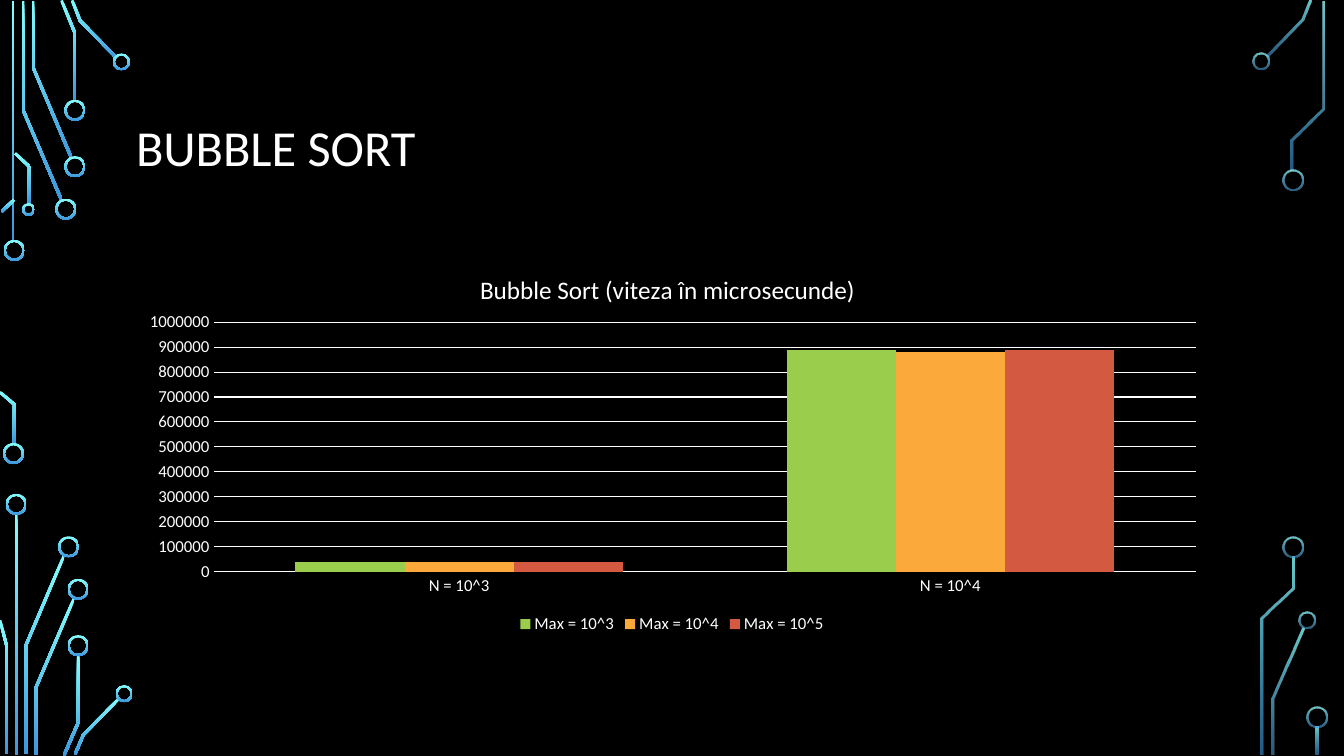
from math import atan2, cos, sin

from lxml.etree import SubElement
from pptx import Presentation
from pptx.chart.data import CategoryChartData
from pptx.dml.color import RGBColor
from pptx.enum.chart import XL_CHART_TYPE, XL_LEGEND_POSITION, XL_TICK_MARK
from pptx.enum.shapes import MSO_SHAPE
from pptx.enum.text import MSO_ANCHOR
from pptx.oxml import parse_xml
from pptx.oxml.ns import nsdecls, qn
from pptx.util import Cm, Pt

SOLID = (100, 100)
FADED = (80, 60)
LARGE, MEDIUM, SMALL = 0.53, 0.43, 0.32

LEFT_TRACES = [
    [(0.58, 0.03), (0.58, 2.77), (1.55, 5.04)],
    [(0.83, 0.03), (0.83, 1.69), (1.8, 3.98)],
    [(1.55, 0.01), (1.89, 0.84), (1.89, 2.54)],
    [(1.82, 0.01), (2.02, 0.52), (2.93, 1.45)],
    [(0.04, 5.33), (0.36, 5.03)],
    [(0, 9.88), (0.36, 10.19), (0.36, 11.2)],
    [(0.38, 3.86), (0.74, 4.2), (0.74, 5.16)],
    [(0.65, 19), (0.65, 16.27), (1.61, 14.01)],
    [(0, 15.63), (0.17, 16.28), (0.17, 19)],
    [(0.9, 19.02), (0.9, 17.34), (1.87, 15.07)],
    [(1.61, 19.04), (1.97, 18.21), (1.97, 16.51)],
    [(1.89, 19.01), (2.1, 18.52), (3, 17.6)],
]
RIGHT_TRACES = [
    [(33.03, 0.01), (32.83, 0.5), (31.93, 1.41)],
    [(32.07, 19.02), (32.07, 17.61), (32.84, 15.84)],
    [(33.34, 0.03), (33.34, 2.73), (32.56, 3.52), (32.56, 4.29)],
    [(31.81, 19.02), (31.81, 15.58), (32.6, 14.82), (32.6, 14.02)],
]
LEFT_NODES = [
    (0.36, 6.31, LARGE), (0.34, 11.43, LARGE), (1.66, 5.27, LARGE),
    (1.89, 4.2, LARGE), (1.89, 2.78, LARGE), (3.06, 1.56, MEDIUM),
    (0.72, 5.28, SMALL), (0.41, 12.71, LARGE), (1.73, 13.78, LARGE),
    (1.97, 14.85, LARGE), (1.97, 16.27, LARGE), (3.13, 17.48, MEDIUM),
]
RIGHT_NODES = [
    (31.79, 1.54, MEDIUM), (32.58, 4.53, LARGE), (32.93, 15.63, MEDIUM),
    (32.59, 13.78, LARGE), (33.19, 18.08, LARGE),
]
LEFT_STEMS = [(0.33, 0.03, 6.07), (0.41, 12.95, 6.07)]
RIGHT_STEMS = [(33.2, 18.31, 0.71)]
SPEEDS = [
    ("Max = 10^3", (40000, 890000), "9ACD4C"),
    ("Max = 10^4", (40000, 880000), "FAA93A"),
    ("Max = 10^5", (40000, 890000), "D35940"),
]


def color(value):
    return RGBColor.from_string(value)


def trace_edge(points, offset):
    angles = [atan2(y2 - y1, x2 - x1)
              for (x1, y1), (x2, y2) in zip(points, points[1:])]
    edge = []
    for (x, y), before, after in zip(points, angles[:1] + angles, angles + angles[-1:]):
        middle = (before + after) / 2
        reach = offset / cos((after - before) / 2)
        edge.append((Cm(x - reach * sin(middle)), Cm(y + reach * cos(middle))))
    return edge


def place(element, **fractions):
    for old in element.findall(qn("c:layout")):
        element.remove(old)
    layout = parse_xml(f"<c:layout {nsdecls('c')}><c:manualLayout/></c:layout>")
    for tag, value in fractions.items():
        SubElement(layout[0], qn(f"c:{tag}"), val=str(value))
    return layout


class CircuitSlide:
    font = "Calibri"
    white = "FFFFFF"
    glow = ("82FFFF", "3D97DE")
    trace_width = 0.07

    def __init__(self, presentation):
        self.slide = presentation.slides.add_slide(presentation.slide_layouts[6])
        background = self.slide.background.fill
        background.solid()
        background.fore_color.rgb = color("000000")

    def style_font(self, font, size):
        font.name = self.font
        font.size = Pt(size)
        font.color.rgb = color(self.white)

    def light(self, part, opacity):
        part.shadow.inherit = False
        part.line.fill.background()
        part.fill.gradient()
        part.fill.gradient_angle = 270
        for stop, position, shade in zip(part.fill.gradient_stops, (0, 1), self.glow):
            stop.position = position
            stop.color.rgb = color(shade)
        for shade, percent in zip(part.fill._xPr.iter(qn("a:srgbClr")), opacity):
            if percent < 100:
                SubElement(shade, qn("a:alpha"), val=str(percent * 1000))

    def trace(self, points, opacity):
        half = self.trace_width / 2
        outline = trace_edge(points, half) + trace_edge(points, -half)[::-1]
        builder = self.slide.shapes.build_freeform(*outline[0])
        builder.add_line_segments(outline[1:], close=True)
        self.light(builder.convert_to_shape(), opacity)

    def node(self, x, y, diameter, opacity):
        ring = self.slide.shapes.add_shape(
            MSO_SHAPE.DONUT, Cm(x - diameter / 2), Cm(y - diameter / 2),
            Cm(diameter), Cm(diameter))
        ring.adjustments[0] = 0.05 / diameter
        self.light(ring, opacity)

    def stem(self, x, y, height, opacity):
        bar = self.slide.shapes.add_shape(
            MSO_SHAPE.RECTANGLE, Cm(x - self.trace_width / 2), Cm(y),
            Cm(self.trace_width), Cm(height))
        self.light(bar, opacity)

    def heading(self, text):
        frame = self.slide.shapes.add_textbox(
            Cm(3.18), Cm(1.73), Cm(27.51), Cm(4.11)).text_frame
        frame.word_wrap = True
        frame.vertical_anchor = MSO_ANCHOR.MIDDLE
        frame.text = text
        frame.paragraphs[0].line_spacing = 0.9
        self.style_font(frame.paragraphs[0].runs[0].font, 36)

    def column_chart(self, title, categories, rows):
        data = CategoryChartData()
        data.categories = categories
        for name, values, _ in rows:
            data.add_series(name, values)
        chart = self.slide.shapes.add_chart(
            XL_CHART_TYPE.COLUMN_CLUSTERED, Cm(3.18), Cm(6.25),
            Cm(27.51), Cm(9.83), data).chart
        self.style_font(chart.font, 10)
        chart.has_title = True
        caption = chart.chart_title
        caption.text_frame.text = title
        run_font = caption.text_frame.paragraphs[0].runs[0].font
        self.style_font(run_font, 18)
        run_font.bold = False
        caption.include_in_layout = False
        caption_layout = place(caption._element, xMode="edge", yMode="edge", x=0.32, y=0.05)
        caption._element.find(qn("c:tx")).addnext(caption_layout)
        chart.has_legend = True
        chart.legend.position = XL_LEGEND_POSITION.BOTTOM
        chart.legend.include_in_layout = False
        self.style_font(chart.legend.font, 12)
        for axis in (chart.category_axis, chart.value_axis):
            self.style_font(axis.tick_labels.font, 12)
            axis.major_tick_mark = XL_TICK_MARK.NONE
            axis.minor_tick_mark = XL_TICK_MARK.NONE
            axis.format.line.fill.background()
        chart.value_axis.minimum_scale = 0
        chart.value_axis.maximum_scale = 1000000
        chart.value_axis.major_unit = 100000
        grid = chart.value_axis.major_gridlines.format.line
        grid.width = Pt(0.75)
        grid.color.rgb = color(self.white)
        plot = chart.plots[0]
        plot.gap_width = 150
        plot.overlap = 0
        plot.vary_by_categories = False
        for series, (_, _, shade) in zip(plot.series, rows):
            series.format.fill.solid()
            series.format.fill.fore_color.rgb = color(shade)
        plot_area = plot._element.getparent()
        plot_area.insert(0, place(plot_area, layoutTarget="inner", xMode="edge",
                                  yMode="edge", x=0.08, y=0.19, w=0.9, h=0.64))


def main():
    presentation = Presentation()
    presentation.slide_width, presentation.slide_height = Cm(33.87), Cm(19.05)
    page = CircuitSlide(presentation)
    for stems, traces, nodes, opacity in (
            (LEFT_STEMS, LEFT_TRACES, LEFT_NODES, SOLID),
            (RIGHT_STEMS, RIGHT_TRACES, RIGHT_NODES, FADED)):
        for stem in stems:
            page.stem(*stem, opacity)
        for points in traces:
            page.trace(points, opacity)
        for node in nodes:
            page.node(*node, opacity)
    page.heading("BUBBLE SORT")
    page.column_chart("Bubble Sort (viteza în microsecunde)",
                      ["N = 10^3", "N = 10^4"], SPEEDS)
    presentation.save("out.pptx")


if __name__ == "__main__":
    main()
